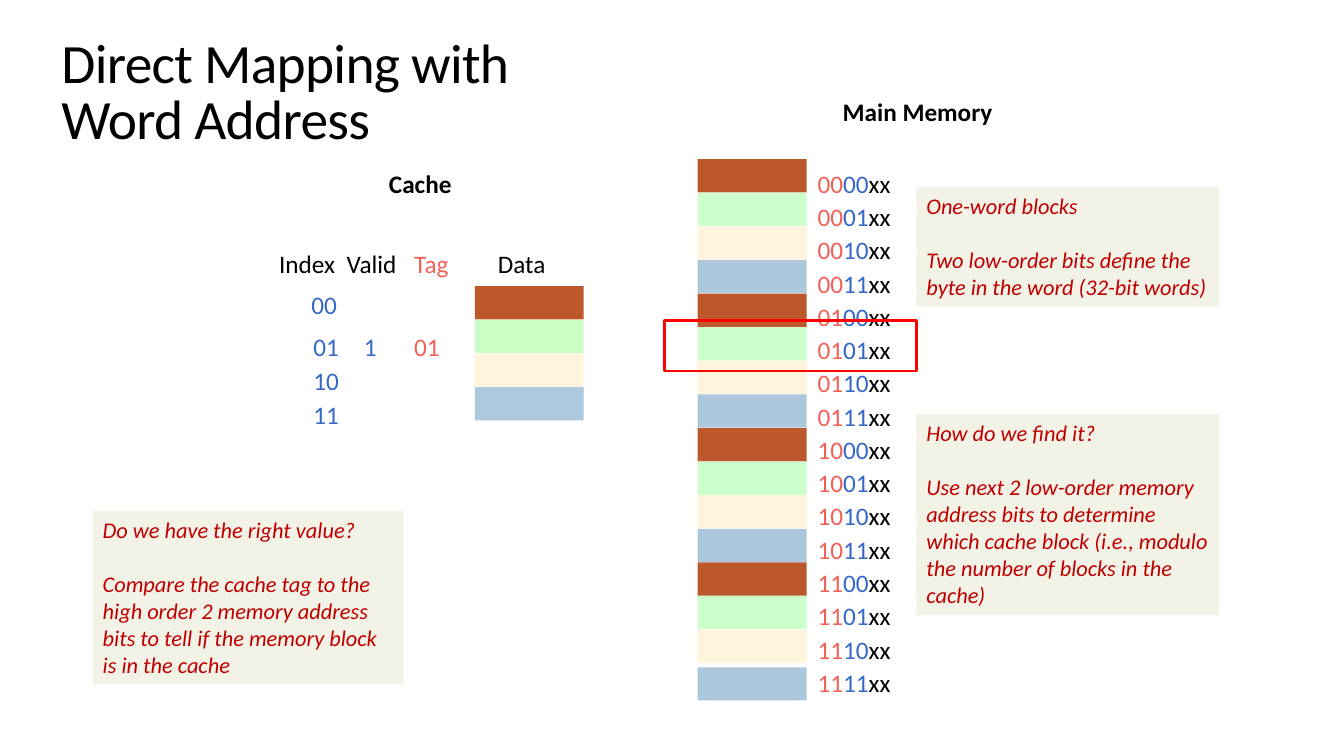
from pptx import Presentation
from pptx.dml.color import RGBColor
from pptx.enum.shapes import MSO_SHAPE
from pptx.enum.text import MSO_ANCHOR, MSO_AUTO_SIZE, PP_ALIGN
from pptx.util import Pt

PX = 9144  # 100 px to the inch

BLACK = RGBColor(0x00, 0x00, 0x00)
TAG_RED = RGBColor(0xF0, 0x61, 0x57)
INDEX_BLUE = RGBColor(0x35, 0x68, 0xC7)
NOTE_RED = RGBColor(0xC0, 0x00, 0x00)
NOTE_FILL = RGBColor(0xF3, 0xF2, 0xE6)
FRAME_RED = RGBColor(0xFF, 0x00, 0x00)
RUST = RGBColor(0xBD, 0x58, 0x2C)
MEMORY_COLORS = [RUST, RGBColor(0xCC, 0xFF, 0xCC),
                 RGBColor(0xFF, 0xF5, 0xDC), RGBColor(0xAD, 0xC8, 0xDD)]
CACHE_COLORS = [RUST, RGBColor(0xC9, 0xFF, 0xC4),
                RGBColor(0xFF, 0xF5, 0xDD), RGBColor(0xAD, 0xC9, 0xDD)]

INDEXES = ["00", "01", "10", "11"]
CELL_WIDTH, CELL_HEIGHT = 108, 33
CELL_PITCH = 100 / 3

# text, left, top, width, colour, bold
LABELS = [
    ("Cache", 376, 162, 83, BLACK, True),
    ("Main Memory", 826, 91, 170, BLACK, True),
    ("Index", 267, 241, 76, BLACK, False),
    ("Valid", 334, 241, 70, BLACK, False),
    ("Tag", 401, 241, 55, TAG_RED, False),
    ("Data", 484, 241, 68, BLACK, False),
    ("00", 299, 282, 46, INDEX_BLUE, False),
    ("01", 301, 324, 46, INDEX_BLUE, False),
    ("10", 301, 358, 46, INDEX_BLUE, False),
    ("11", 301, 391, 46, INDEX_BLUE, False),
    ("1", 351, 324, 34, INDEX_BLUE, False),
    ("01", 401, 324, 46, TAG_RED, False),
]

# box, question, answer
NOTES = [
    ((909, 186, 300, 118), "One-word blocks",
     "Two low-order bits define the byte in the word (32-bit words)"),
    ((909, 411, 300, 199), "How do we find it?",
     "Use next 2 low-order memory address bits to determine which cache "
     "block (i.e., modulo the number of blocks in the cache)"),
    ((92, 507, 308, 172), "Do we have the right value?",
     "Compare the cache tag to the high order 2 memory address bits to tell "
     "if the memory block is in the cache"),
]


def emu(*lengths):
    return [round(length * PX) for length in lengths]


def set_values(target, values):
    for name, value in values.items():
        setattr(target, name, value)


def add_run(paragraph, text, color, size=18, **values):
    run = paragraph.add_run()
    run.text = text
    set_values(run.font, {"name": "Calibri", "size": Pt(size), **values})
    run.font.color.rgb = color
    return run


def add_rectangle(slide, box, fill=None, line=None):
    shape = slide.shapes.add_shape(MSO_SHAPE.RECTANGLE, *emu(*box))
    shape.shadow.inherit = False
    if fill is None:
        shape.fill.background()
    else:
        shape.fill.solid()
        shape.fill.fore_color.rgb = fill
    if line is None:
        shape.line.fill.background()
    else:
        shape.line.color.rgb = line
        shape.line.width = Pt(1.75)
    return shape


def add_title(slide, text):
    title = slide.shapes.title
    left, top, width, height = emu(51, 72, 508, 83)
    set_values(title, {"left": left, "top": top, "width": width, "height": height})
    set_values(title.text_frame, {"vertical_anchor": MSO_ANCHOR.BOTTOM,
                                  "auto_size": MSO_AUTO_SIZE.NONE,
                                  "word_wrap": True})
    paragraph = title.text_frame.paragraphs[0]
    set_values(paragraph, {"alignment": PP_ALIGN.LEFT, "line_spacing": 0.85})
    run = add_run(paragraph, text, BLACK, 39.6)
    run._r.get_or_add_rPr().set("spc", "-50")


def add_label(slide, text, left, top, width, color, bold):
    label = slide.shapes.add_textbox(*emu(left, top, width, 40))
    set_values(label.text_frame, {"word_wrap": False,
                                  "auto_size": MSO_AUTO_SIZE.SHAPE_TO_FIT_TEXT})
    add_run(label.text_frame.paragraphs[0], text, color, bold=bold)


def add_note(slide, box, question, answer):
    frame = add_rectangle(slide, box, NOTE_FILL).text_frame
    set_values(frame, {"word_wrap": True, "vertical_anchor": MSO_ANCHOR.TOP,
                       "auto_size": MSO_AUTO_SIZE.SHAPE_TO_FIT_TEXT})
    first, second = frame.paragraphs[0], frame.add_paragraph()
    second.space_before = Pt(19.5)
    for paragraph, text in ((first, question), (second, answer)):
        paragraph.alignment = PP_ALIGN.LEFT
        add_run(paragraph, text, NOTE_RED, 16, italic=True)


def add_blocks(slide, left, tops, colors):
    for number, top in enumerate(tops):
        add_rectangle(slide, (left, top, CELL_WIDTH, CELL_HEIGHT),
                      colors[number % len(colors)])


def add_addresses(slide):
    frame = slide.shapes.add_textbox(*emu(801, 159, 108, 543)).text_frame
    set_values(frame, {"word_wrap": True,
                       "auto_size": MSO_AUTO_SIZE.SHAPE_TO_FIT_TEXT})
    addresses = [(tag, index) for tag in INDEXES for index in INDEXES]
    for number, (tag, index) in enumerate(addresses):
        paragraph = frame.add_paragraph() if number else frame.paragraphs[0]
        paragraph.line_spacing = 1.1
        add_run(paragraph, tag, TAG_RED)
        add_run(paragraph, index, INDEX_BLUE)
        add_run(paragraph, "xx", BLACK)


def main():
    presentation = Presentation()
    presentation.slide_width, presentation.slide_height = emu(1333, 750)
    slide = presentation.slides.add_slide(presentation.slide_layouts[5])
    add_title(slide, "Direct Mapping with Word Address")

    # Headings and cache entries
    for label in LABELS:
        add_label(slide, *label)

    # Explanations
    for note in NOTES:
        add_note(slide, *note)

    # Main memory, its last block set slightly apart
    memory_tops = [158 + number * CELL_PITCH for number in range(15)] + [662]
    add_blocks(slide, 692, memory_tops, MEMORY_COLORS)
    add_addresses(slide)

    # Cache data
    cache_tops = [284 + number * CELL_PITCH for number in range(4)]
    add_blocks(slide, 471, cache_tops, CACHE_COLORS)

    # Frame around the cached memory block
    add_rectangle(slide, (659, 318, 250, 50), line=FRAME_RED)

    presentation.save("out.pptx")


if __name__ == "__main__":
    main()
